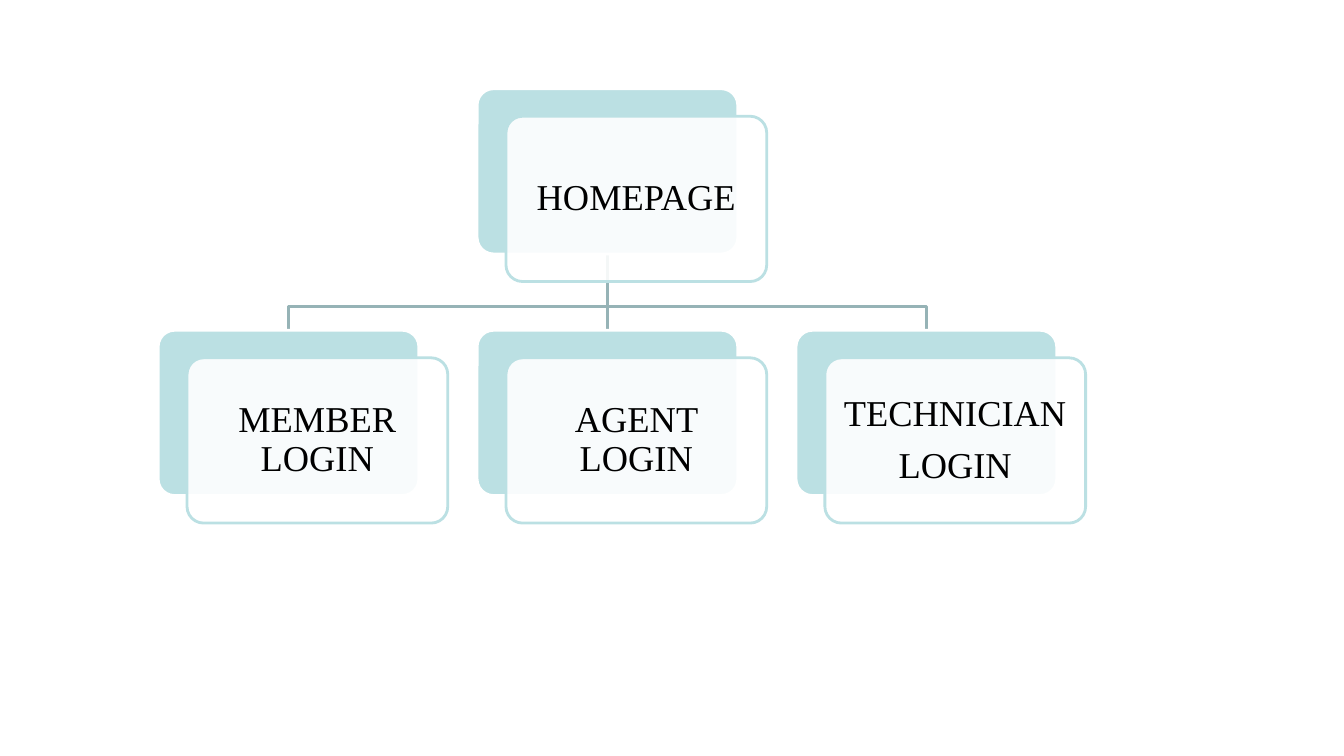
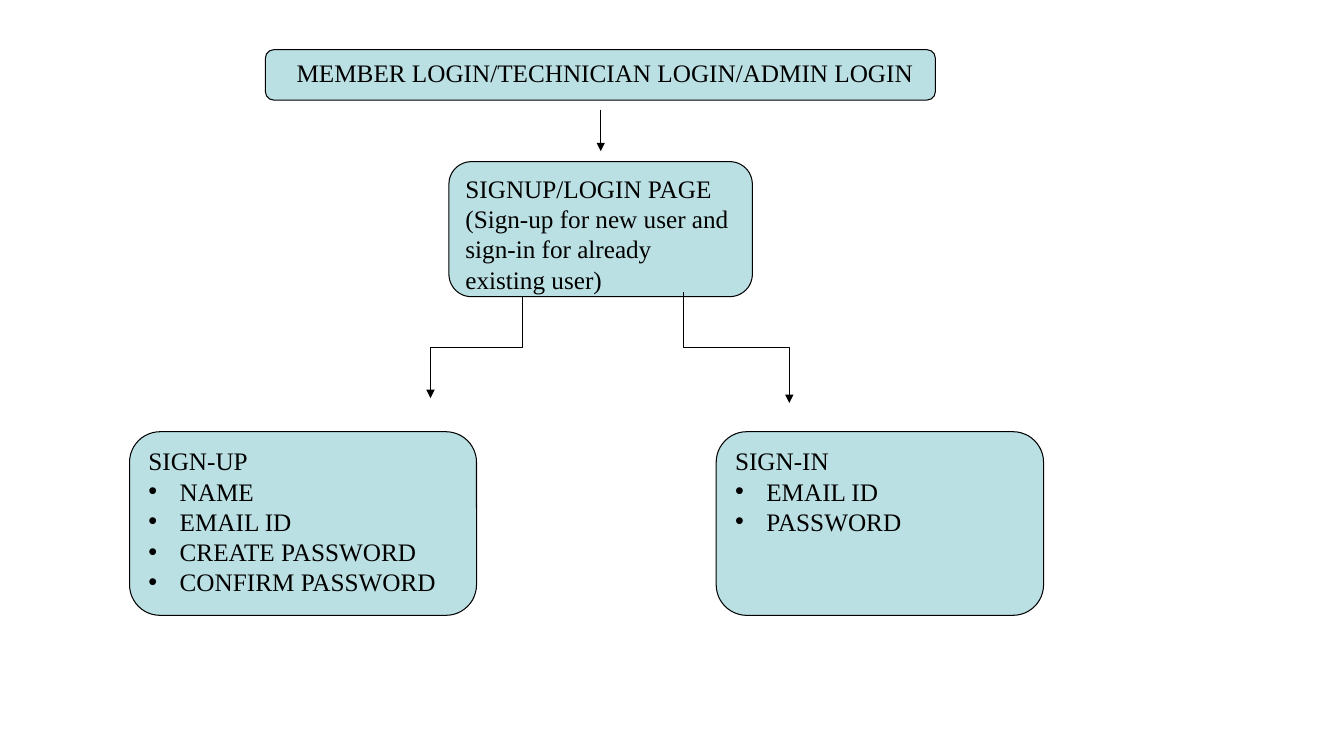
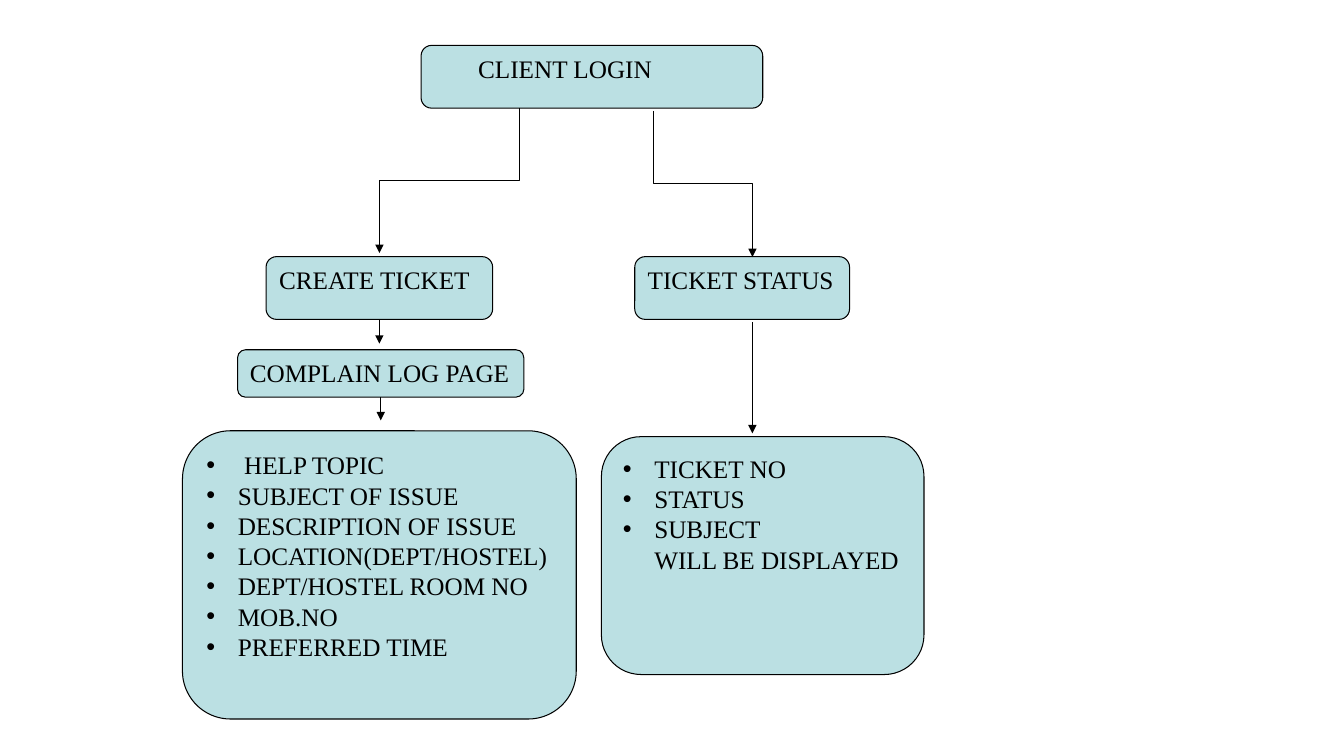
"""Draw three login and ticket flow diagrams."""
from dataclasses import dataclass

from lxml.etree import SubElement
from pptx import Presentation
from pptx.dml.color import RGBColor
from pptx.enum.shapes import MSO_CONNECTOR as Link, MSO_SHAPE as Shape
from pptx.enum.text import MSO_ANCHOR as Anchor, PP_ALIGN as Align
from pptx.oxml.ns import qn
from pptx.util import Inches, Pt

SLIDE_W, SLIDE_H = Inches(13.33), Inches(7.5)
COLUMNS = 100
FONT = "Times New Roman"
INK, TEAL, WHITE, SLATE = "000000", "BBE0E3", "FFFFFF", "96B3B6"
HANG = 2.33

CARD_W, CARD_H = 19.4, 12.3
CARD_LEFT, CARD_PITCH = 11.77, 23.73
SHIFT_X, SHIFT_Y = 2.15, 2.05
HOME_TOP, LOGIN_TOP, BUS_Y = 6.6, 24.58, 22.8


@dataclass
class Line:
    """One paragraph with its left margin in columns."""
    text: str
    margin: float = 0
    bullet: bool = False


def grid(units):
    """Turn square grid columns into a length."""
    return round(units * SLIDE_W / COLUMNS)


def color(value):
    """Make a colour from a hex string."""
    return RGBColor.from_string(value)


def bullets(*texts):
    """Make bulleted lines with the usual hanging indent."""
    return [Line(text, HANG, True) for text in texts]


def stroke(shape, value, width):
    """Set the colour and width of a line."""
    shape.line.color.rgb = color(value)
    shape.line.width = Pt(width)


def round_box(s, left, top, width, height, fill, outline, weight):
    """Add a flat rounded rectangle."""
    sp = s.shapes.add_shape(Shape.ROUNDED_RECTANGLE, *map(grid, (left, top, width, height)))
    sp.shadow.inherit = False
    sp.fill.solid()
    sp.fill.fore_color.rgb = color(fill)
    stroke(sp, outline, weight)
    return sp


def write(tf, lines, size, align=Align.LEFT):
    """Write lines into a text frame and return its paragraphs."""
    tf.word_wrap = True
    for i, line in enumerate(lines):
        p = tf.add_paragraph() if i else tf.paragraphs[0]
        p.alignment = align
        r = p.add_run()
        r.text = line.text
        r.font.name, r.font.size = FONT, Pt(size)
        r.font.color.rgb = color(INK)
        pPr = p._p.get_or_add_pPr()
        pPr.set("marL", str(grid(line.margin)))
        if line.bullet:
            pPr.set("indent", str(-grid(line.margin)))
            SubElement(pPr, qn("a:buFont")).set("typeface", "Arial")
            SubElement(pPr, qn("a:buChar")).set("char", "•")
    return tf.paragraphs


def flow_box(s, place, *lines):
    """Add a teal flow chart box with text from its top left."""
    sp = round_box(s, *place, TEAL, INK, 0.75)
    sp.text_frame.vertical_anchor = Anchor.TOP
    write(sp.text_frame, lines, 18)


def arrow(s, start, end):
    """Add a downward arrow, bent halfway if the ends are not in line."""
    (x1, y1), (x2, y2) = start, end
    kind, angle, ends = Link.STRAIGHT, 0, (*start, *end)
    if x1 != x2:
        mid_x, mid_y = (x1 + x2) / 2, (y1 + y2) / 2
        half_w, half_h = (y2 - y1) / 2, abs(x2 - x1) / 2
        side = 1 if x2 < x1 else -1
        kind, angle = Link.ELBOW, 180 - 90 * side
        ends = (mid_x - side * half_w, mid_y - half_h, mid_x + side * half_w, mid_y + half_h)
    c = s.shapes.add_connector(kind, *map(grid, ends))
    stroke(c, INK, 0.75)
    SubElement(c._element.spPr, qn("a:effectLst"))
    c._element.spPr.find(qn("a:xfrm")).set("rot", str(angle * 60000))
    SubElement(c.line._get_or_add_ln(), qn("a:tailEnd")).set("type", "triangle")


def card(s, column, top, *texts):
    """Add a teal card with a translucent labelled card over it."""
    left = CARD_LEFT + column * CARD_PITCH
    back = round_box(s, left, top, CARD_W, CARD_H, TEAL, WHITE, 2)
    front = round_box(s, left + SHIFT_X, top + SHIFT_Y, CARD_W, CARD_H, WHITE, TEAL, 2)
    back.adjustments[0] = front.adjustments[0] = 0.1
    tint = front._element.spPr.find(qn("a:solidFill"))[0]
    SubElement(tint, qn("a:alpha")).set("val", "90000")
    tf = front.text_frame
    tf.margin_left = tf.margin_right = tf.margin_top = tf.margin_bottom = Inches(0.1)
    tf.vertical_anchor = Anchor.MIDDLE
    for p in write(tf, map(Line, texts), 26, Align.CENTER):
        p.line_spacing, p.space_after = 0.9, Pt(9)


def branch(s, column):
    """Draw the line from the home card to the login card of a column."""
    start, end = (CARD_LEFT + i * CARD_PITCH + CARD_W / 2 for i in (1, column))
    corners = [(start, BUS_Y), (end, BUS_Y), (end, LOGIN_TOP)]
    outline = s.shapes.build_freeform(grid(start), grid(HOME_TOP + CARD_H))
    outline.add_line_segments([(grid(x), grid(y)) for x, y in corners], close=False)
    sp = outline.convert_to_shape()
    sp.shadow.inherit = False
    sp.fill.background()
    stroke(sp, SLATE, 2)


def homepage(s):
    """Build the home page tree."""
    for column in (2, 1, 0):
        branch(s, column)
    card(s, 1, HOME_TOP, "HOMEPAGE")
    logins = [("MEMBER LOGIN",), ("AGENT LOGIN",), ("TECHNICIAN", "LOGIN")]
    for column, texts in enumerate(logins):
        card(s, column, LOGIN_TOP, *texts)


def login_flow(s):
    """Build the sign-up and sign-in flow."""
    flow_box(s, (19.75, 3.7, 49.85, 3.75),
             Line("MEMBER LOGIN/TECHNICIAN LOGIN/ADMIN LOGIN", 1.4))
    flow_box(s, (33.4, 12.03, 22.58, 10.05), Line("SIGNUP/LOGIN PAGE"),
             Line("(Sign-up for new user and sign-in for already existing user)"))
    flow_box(s, (9.64, 32.13, 25.82, 13.67), Line("SIGN-UP"),
             *bullets("NAME", "EMAIL ID", "CREATE PASSWORD", "CONFIRM PASSWORD"))
    flow_box(s, (53.29, 32.13, 24.36, 13.67), Line("SIGN-IN"),
             *bullets("EMAIL ID", "PASSWORD"))
    arrow(s, (38.85, 22.05), (32.03, 29.63))
    arrow(s, (50.85, 21.75), (58.73, 30))
    arrow(s, (44.7, 8.18), (44.7, 11.25))


def client_flow(s):
    """Build the ticket flow of a client."""
    flow_box(s, (31.33, 3.38, 25.42, 4.67), Line("CLIENT LOGIN", 3.28))
    flow_box(s, (19.8, 19.1, 16.86, 4.67), Line("CREATE TICKET"))
    flow_box(s, (47.23, 19.1, 15.98, 4.67), Line("TICKET STATUS"))
    flow_box(s, (17.68, 26.03, 21.3, 3.53), Line("COMPLAIN LOG PAGE"))
    flow_box(s, (13.58, 32.06, 29.3, 21.45), Line("HELP TOPIC", 2.8, True),
             *bullets("SUBJECT OF ISSUE", "DESCRIPTION OF ISSUE", "LOCATION(DEPT/HOSTEL)",
                      "DEPT/HOSTEL ROOM NO", "MOB.NO", "PREFERRED TIME"))
    flow_box(s, (44.75, 32.5, 24, 17.7), *bullets("TICKET NO", "STATUS", "SUBJECT"),
             Line("WILL BE DISPLAYED", HANG))
    arrow(s, (38.63, 8.03), (28.23, 18.83))
    arrow(s, (48.6, 8.25), (55.98, 19.13))
    arrow(s, (28.23, 23.78), (28.23, 25.58))
    arrow(s, (28.33, 29.55), (28.33, 31.28))
    arrow(s, (55.98, 24), (55.98, 32.25))


def main():
    """Build and save the presentation."""
    prs = Presentation()
    prs.slide_width, prs.slide_height = SLIDE_W, SLIDE_H
    for build in (homepage, login_flow, client_flow):
        build(prs.slides.add_slide(prs.slide_layouts[6]))
    prs.save("out.pptx")


if __name__ == "__main__":
    main()
